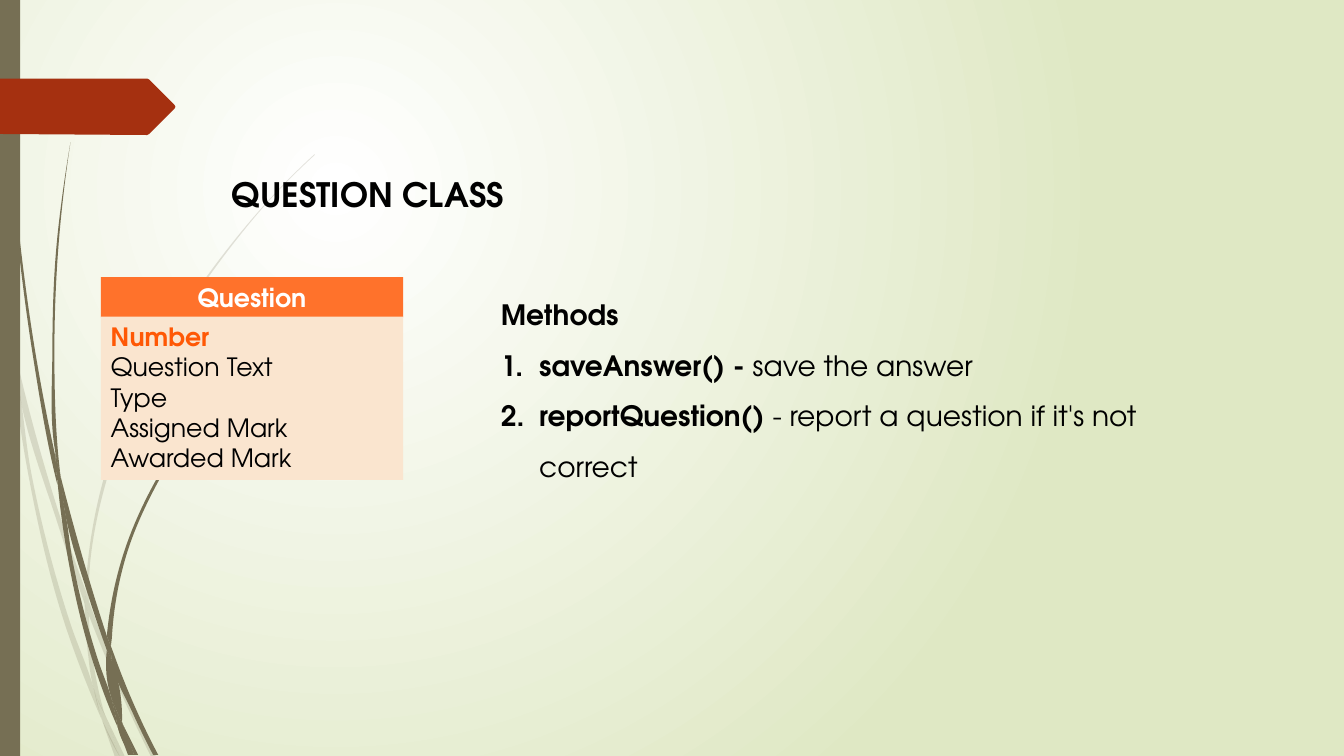
from math import dist

from lxml import etree
from pptx import Presentation
from pptx.dml.color import RGBColor
from pptx.enum.shapes import MSO_SHAPE
from pptx.enum.text import MSO_ANCHOR, MSO_AUTO_SIZE, PP_ALIGN
from pptx.oxml.ns import qn
from pptx.util import Inches, Pt

RECTANGLE = MSO_SHAPE.RECTANGLE
TOP, GROW = MSO_ANCHOR.TOP, MSO_AUTO_SIZE.SHAPE_TO_FIT_TEXT
LEFT, CENTER = PP_ALIGN.LEFT, PP_ALIGN.CENTER

WHITE = RGBColor(0xFF, 0xFF, 0xFF)
BLACK = RGBColor(0x00, 0x00, 0x00)
PALE_GREEN = RGBColor(0xDF, 0xE8, 0xC4)
STEM_BROWN = RGBColor(0x76, 0x6F, 0x54)
TAG_RED = RGBColor(0xA5, 0x30, 0x10)
HEADER_ORANGE = RGBColor(0xFF, 0x72, 0x2B)
KEY_ORANGE = RGBColor(0xFF, 0x58, 0x05)
CARD_CREAM = RGBColor(0xFA, 0xE5, 0xCF)

# A blade is a closed outline made of smooth edges, each a list of knots.
FAINT_BLADES = [
    ([(0.11, 3.5), (0.09, 3.22), (0, 2.82)], [(0, 2.99), (0.1, 3.44)]),
    ([(0.14, 3.45), (0.17, 3.76), (0.58, 5.22), (0.84, 5.99)],
     [(0.85, 5.86), (0.62, 5.2), (0.14, 3.45)]),
    ([(0.88, 6.1), (1.23, 6.94), (1.5, 7.51)],
     [(1.55, 7.51), (1.27, 6.92), (0.92, 6.07), (0.88, 5.96)]),
    ([(1.05, 7.11), (1.19, 7.51)], [(1.24, 7.51)]),
    ([(0.11, 3.5), (0.28, 4.7), (0.65, 6.21), (0.92, 6.93), (1.01, 7.14)],
     [(0.99, 7.07), (0.93, 6.83), (0.7, 6.19), (0.31, 4.69), (0.17, 3.76), (0.11, 3.5)]),
    ([(0.84, 5.99), (0.87, 6.46), (0.93, 6.83), (0.96, 6.92), (1.05, 7.11)],
     [(1.03, 7.06), (0.91, 6.46), (0.88, 6.1)]),
    ([(0.88, 5.96), (0.88, 5.84), (1.1, 4.62), (1.6, 3.49), (2.29, 2.45),
      (2.68, 1.98), (2.9, 1.75), (3.12, 1.54)],
     [(3.12, 1.53), (2.89, 1.75), (2.68, 1.97), (2.28, 2.44), (1.58, 3.48),
      (1.07, 4.61), (0.85, 5.84)]),
    ([(1.01, 7.14), (1.14, 7.51)], [(1.19, 7.51)]),
    ([(0.85, 5.86), (0.84, 5.99)], [(0.88, 6.1), (0.88, 5.96)]),
    ([(0.93, 6.83), (0.99, 7.07), (1.19, 7.51)], [(1.05, 7.11), (0.96, 6.92)]),
]
SOLID_BLADES = [
    ([(0.03, 0), (0.04, 0.48), (0.07, 1.1), (0.17, 2.33), (0.33, 3.55),
      (0.56, 4.77), (0.57, 4.81)],
     [(0.55, 4.53), (0.36, 3.55), (0.19, 2.32), (0.08, 1.09), (0.05, 0.48), (0.04, 0)]),
    ([(0.6, 4.72), (0.64, 5.05), (0.88, 5.92), (1.06, 6.45)],
     [(1.06, 6.31), (0.93, 5.9), (0.6, 4.72)]),
    ([(1.1, 6.41), (1.11, 6.56), (1.32, 7.08), (1.52, 7.49)],
     [(1.57, 7.49), (1.36, 7.06), (1.13, 6.49)]),
    ([(0.57, 4.77), (0.68, 5.57), (0.93, 6.59), (1.11, 7.08), (1.17, 7.22)],
     [(1.16, 7.17), (1.1, 6.91), (0.98, 6.57), (0.72, 5.56), (0.64, 5.05), (0.57, 4.77)]),
    ([(0.6, 4.72), (0.58, 4.53), (0.54, 3.49), (0.58, 2.45), (0.63, 1.93), (0.7, 1.41)],
     [(0.7, 1.41), (0.62, 1.93), (0.56, 2.45), (0.52, 3.49), (0.55, 4.49), (0.6, 4.72)]),
    ([(1.22, 7.19), (1.33, 7.49)], [(1.37, 7.49)]),
    ([(0.55, 4.49), (0.57, 4.77), (0.64, 5.05)], [(0.6, 4.72)]),
    ([(1.11, 6.33), (1.25, 5.52), (1.58, 4.76), (2.05, 4.06), (2.31, 3.74),
      (2.45, 3.59), (2.6, 3.44)],
     [(2.6, 3.44), (2.45, 3.58), (2.31, 3.73), (2.04, 4.05), (1.56, 4.74),
      (1.22, 5.51), (1.06, 6.31)], [(1.1, 6.41)]),
    ([(1.17, 7.22), (1.27, 7.49)], [(1.31, 7.49)]),
    ([(1.06, 6.45), (1.1, 6.91), (1.16, 7.06), (1.22, 7.19)],
     [(1.21, 7.16), (1.11, 6.56), (1.09, 6.51)]),
    ([(1.06, 6.45), (1.11, 6.56)], [(1.1, 6.41), (1.06, 6.31)]),
    ([(1.1, 6.91), (1.16, 7.17), (1.17, 7.22), (1.3, 7.49)],
     [(1.33, 7.49), (1.22, 7.19), (1.16, 7.06)]),
]
TAG = ([(0, 0.78), (1.46, 0.78)], [(1.48, 0.79), (1.73, 1.04)],
       [(1.74, 1.06)], [(1.73, 1.08), (1.48, 1.33)], [(1.46, 1.34), (0, 1.33)])
ATTRIBUTES = ["Question Text", "Type", "Assigned Mark", "Awarded Mark"]
METHODS = [
    ("saveAnswer() - ", "save the answer"),
    ("reportQuestion()\u00a0", "- report a question if it's not correct"),
]


def curve_edge(knots):
    """Return the (control, control, end) triples of a smooth edge."""
    lengths = [dist(a, b) for a, b in zip(knots, knots[1:])]
    speeds = [[(q - p) / size for p, q in zip(a, b)]
              for a, b, size in zip(knots, knots[1:], lengths)]
    inner = [[(u * after + v * before) / (before + after) for u, v in zip(s, t)]
             for s, t, before, after in zip(speeds, speeds[1:], lengths, lengths[1:])]
    first = [2 * u - v for u, v in zip(speeds[0], inner[0])]
    final = [2 * u - v for u, v in zip(speeds[-1], inner[-1])]
    slopes = [first, *inner, final]
    return [([p + m * size / 3 for p, m in zip(a, slopes[i])],
             [p - m * size / 3 for p, m in zip(b, slopes[i + 1])], b)
            for i, (a, b, size) in enumerate(zip(knots, knots[1:], lengths))]


def add_text(paragraph, text, size=18, color=BLACK, bold=False):
    """Append a formatted run to a paragraph."""
    run = paragraph.add_run()
    run.text = text
    run.font.name = SlideBuilder.FONT
    run.font.size = Pt(size)
    run.font.bold = bold
    run.font.color.rgb = color


class SlideBuilder:
    """Holds the style and the slide being built."""

    FONT = "TeX Gyre Adventor"

    def __init__(self, slide):
        """Keep the slide to draw on."""
        self.slide = slide

    def background(self, inner, outer):
        """Fill the slide with a circular gradient."""
        fill = self.slide.background.fill
        fill.gradient()
        for stop, color, position in zip(fill.gradient_stops, (inner, outer), (0, 1)):
            stop.color.rgb = color
            stop.position = position
        gradient = self.slide.element.find(".//" + qn("a:gradFill"))
        gradient.remove(gradient.find(qn("a:lin")))
        circle = etree.SubElement(gradient, qn("a:path"), path="circle")
        etree.SubElement(circle, qn("a:fillToRect"),
                         l="50000", t="50000", r="100000", b="100000")

    def paint(self, shape, color, opacity=100):
        """Give a shape a plain fill without line or shadow."""
        shape.shadow.inherit = False
        shape.line.fill.background()
        shape.fill.solid()
        shape.fill.fore_color.rgb = color
        if opacity < 100:
            tone = shape.element.spPr.find(".//" + qn("a:srgbClr"))
            etree.SubElement(tone, qn("a:alpha"), val=str(opacity * 1000))

    def outline(self, edges, color, opacity=100):
        """Draw a closed outline of straight and smooth edges."""
        steps = []
        for edge in edges:
            steps.append([edge[0]])
            steps += curve_edge(edge) if len(edge) > 2 else [[p] for p in edge[1:]]
        points = [(Inches(x), Inches(y)) for step in steps for x, y in step]
        builder = self.slide.shapes.build_freeform(*points[0])
        builder.add_line_segments(points[1:], close=True)
        shape = builder.convert_to_shape()
        lines = iter(shape.element.findall(".//" + qn("a:lnTo")))
        for step in steps[1:]:
            parts = [next(lines) for _ in step]
            if len(parts) == 3:
                parts[0].tag = qn("a:cubicBezTo")
                for part in parts[1:]:
                    parts[0].append(part[0])
                    part.getparent().remove(part)
        self.paint(shape, color, opacity)

    def block(self, x, y, width, height, color):
        """Draw a filled rectangle and return its text frame."""
        shape = self.slide.shapes.add_shape(
            RECTANGLE, Inches(x), Inches(y), Inches(width), Inches(height))
        self.paint(shape, color)
        return shape.text_frame

    def textbox(self, x, y, width, height):
        """Add a text box and return its text frame."""
        box = self.slide.shapes.add_textbox(
            Inches(x), Inches(y), Inches(width), Inches(height))
        return self.prepare(box.text_frame)

    def prepare(self, frame, align=LEFT):
        """Set wrapping and alignment of a text frame."""
        frame.word_wrap = True
        frame.auto_size = GROW
        frame.vertical_anchor = TOP
        frame.paragraphs[0].alignment = align
        return frame

    def title(self, text, x, y, width, height):
        """Place the title in front of the decoration."""
        title = self.slide.shapes.title
        title.left, title.top = Inches(x), Inches(y)
        title.width, title.height = Inches(width), Inches(height)
        add_text(self.prepare(title.text_frame).paragraphs[0], text, size=24, bold=True)
        title.element.getparent().append(title.element)

    def numbered(self, paragraph, indent):
        """Turn a paragraph into a numbered item."""
        properties = paragraph._p.get_or_add_pPr()
        properties.set("marL", str(Inches(indent)))
        properties.set("indent", str(-Inches(indent)))
        etree.SubElement(properties, qn("a:buAutoNum"), type="arabicPeriod")


deck = Presentation()
deck.slide_width, deck.slide_height = Inches(13.33), Inches(7.5)
page = SlideBuilder(deck.slides.add_slide(deck.slide_layouts[5]))
page.background(WHITE, PALE_GREEN)
for blades, strength in ((FAINT_BLADES, 20), (SOLID_BLADES, 100)):
    for blade in blades:
        page.outline(blade, STEM_BROWN, strength)
page.block(0, 0, 0.2, 7.5, STEM_BROWN)
page.outline(TAG, TAG_RED)

header = page.prepare(page.block(1, 2.75, 3, 0.4, HEADER_ORANGE), CENTER)
add_text(header.paragraphs[0], "Question", color=WHITE, bold=True)
card = page.prepare(page.block(1, 3.14, 3, 1.62, CARD_CREAM))
add_text(card.paragraphs[0], "Number", color=KEY_ORANGE, bold=True)
for attribute in ATTRIBUTES:
    row = card.add_paragraph()
    row.alignment = LEFT
    add_text(row, attribute)

methods = page.textbox(4.87, 2.74, 6.96, 2.06)
heading = methods.paragraphs[0]
heading.line_spacing = 1.5
add_text(heading, "Methods", size=20, bold=True)
for signature, purpose in METHODS:
    item = methods.add_paragraph()
    item.line_spacing = 1.5
    page.numbered(item, 0.38)
    add_text(item, signature, size=20, bold=True)
    add_text(item, purpose, size=20)

page.title("QUESTION CLASS", 2.2, 1.68, 3, 0.5)
deck.save("out.pptx")
